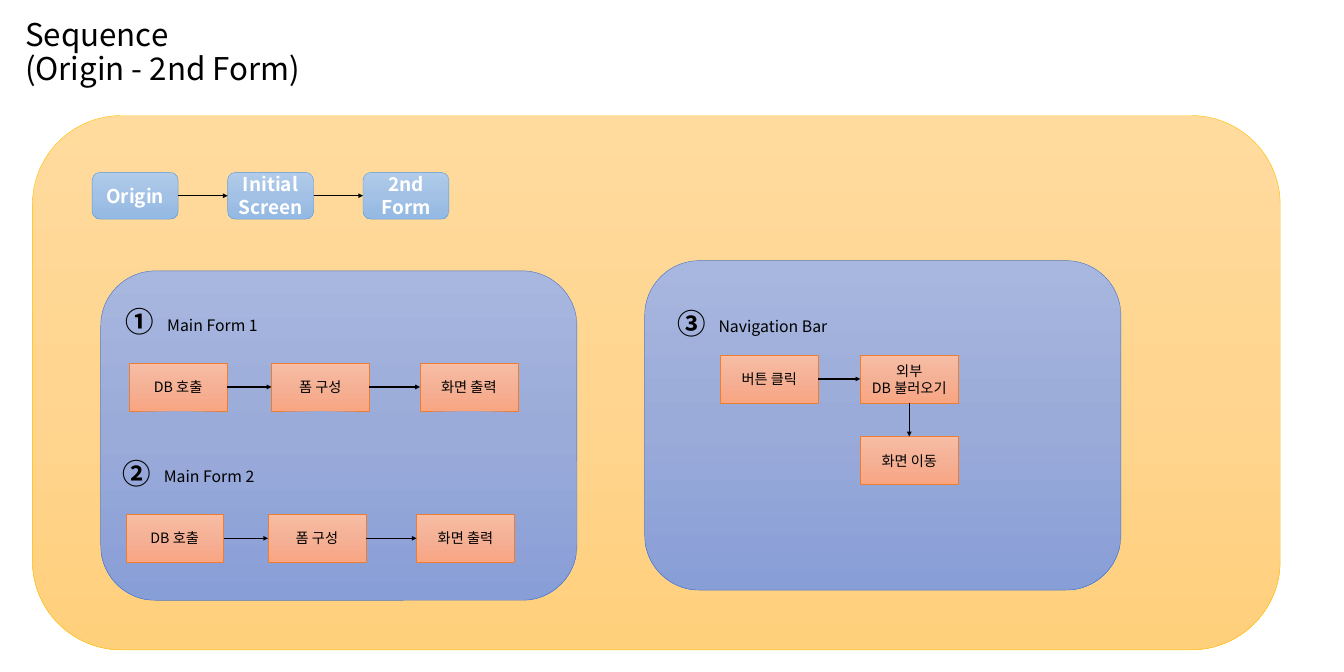
from lxml import etree
from pptx import Presentation
from pptx.dml.color import RGBColor
from pptx.enum.shapes import MSO_CONNECTOR, MSO_SHAPE
from pptx.enum.text import MSO_ANCHOR, MSO_AUTO_SIZE, PP_ALIGN
from pptx.oxml.ns import qn
from pptx.util import Inches, Pt

STRAIGHT = MSO_CONNECTOR.STRAIGHT
RECTANGLE, ROUNDED = MSO_SHAPE.RECTANGLE, MSO_SHAPE.ROUNDED_RECTANGLE
TOP, MIDDLE = MSO_ANCHOR.TOP, MSO_ANCHOR.MIDDLE
NO_FIT = MSO_AUTO_SIZE.NONE
LEFT, CENTER = PP_ALIGN.LEFT, PP_ALIGN.CENTER
TOP_SITE, LEFT_SITE, BOTTOM_SITE, RIGHT_SITE = range(4)

FONT = "Noto Sans CJK KR"
BLACK, WHITE = "000000", "FFFFFF"
AMBER = (("FFDB9E", "FFD590", "FFD07C"), "FFC000")
SKY = (("B1CBE9", "A3C1E5", "93B9E4"), "5B9BD5")
INDIGO = (("A8B7DF", "9AABD9", "889ED7"), "4472C4")
ORANGE = (("F7BDA5", "F5B196", "F8A582"), "ED7D31")
STAGE_SIZE = (1.51, 0.82)
STEP_SIZE = (1.72, 0.84)


def color(value):
    """Turn a hex string into a colour."""
    return RGBColor.from_string(value)


def write(shape, text, size, font_color=BLACK, bold=False, align=CENTER, anchor=MIDDLE):
    """Put formatted text into a shape."""
    frame = shape.text_frame
    frame.text = text
    frame.word_wrap = True
    frame.auto_size = NO_FIT
    frame.vertical_anchor = anchor
    for paragraph in frame.paragraphs:
        paragraph.alignment = align
        font = paragraph.font
        font.size, font.bold, font.name = Pt(size), bold, FONT
        font.color.rgb = color(font_color)
        properties = paragraph._p.pPr.find(qn("a:defRPr"))
        etree.SubElement(properties, qn("a:ea"), typeface=FONT)


def add_block(slide, kind, box, palette):
    """Add a shape with a vertical three-stop gradient and a thin outline."""
    shape = slide.shapes.add_shape(kind, *map(Inches, box))
    shape.shadow.inherit = False
    stops, outline = palette
    shape.fill.gradient()
    shape.fill.gradient_angle = 270
    stop_list = shape._element.spPr.find(qn("a:gradFill")).find(qn("a:gsLst"))
    for stop in list(stop_list):
        stop_list.remove(stop)
    for index, value in enumerate(stops):
        stop = etree.SubElement(stop_list, qn("a:gs"), pos=str(index * 50000))
        etree.SubElement(stop, qn("a:srgbClr"), val=value)
    shape.line.color.rgb = color(outline)
    shape.line.width = Pt(0.5)
    return shape


def add_arrow(slide, start, end, start_site=RIGHT_SITE, end_site=LEFT_SITE):
    """Join two shapes with an arrow."""
    arrow = slide.shapes.add_connector(STRAIGHT, 0, 0, 0, 0)
    arrow.begin_connect(start, start_site)
    arrow.end_connect(end, end_site)
    arrow.line.color.rgb = color(BLACK)
    arrow.line.width = Pt(1.5)
    etree.SubElement(arrow.line._get_or_add_ln(), qn("a:tailEnd"), type="triangle")
    etree.SubElement(arrow._element.spPr, qn("a:effectLst"))


def add_step(slide, left, top, text):
    """Add one orange step."""
    step = add_block(slide, RECTANGLE, (left, top, *STEP_SIZE), ORANGE)
    write(step, text, 18)
    return step


def add_row(slide, steps):
    """Join shapes from left to right."""
    for start, end in zip(steps, steps[1:]):
        add_arrow(slide, start, end)


def add_heading(slide, left, top, number, label, label_gap, label_width):
    """Add a circled number and the label beside it."""
    number_box = slide.shapes.add_textbox(*map(Inches, (left, top, 0.96, 0.61)))
    frame = number_box.text_frame
    frame.margin_left = frame.margin_right = frame.margin_top = frame.margin_bottom = 0
    write(number_box, number, 36, bold=True, align=LEFT, anchor=TOP)
    label_box = (left + label_gap, top + 0.15, label_width, 0.44)
    write(slide.shapes.add_textbox(*map(Inches, label_box)), label, 20, anchor=TOP)


def add_title(slide, box):
    """Place the slide title."""
    title = slide.shapes.title
    title.left, title.top, title.width, title.height = map(Inches, box)
    write(title, "Sequence\v(Origin - 2nd Form)", 39.6, align=LEFT)
    title.text_frame.paragraphs[0].line_spacing = 0.9


def add_stages(slide, left, top):
    """Add the row of stages that leads to the second form."""
    stages = []
    for index, text in enumerate(("Origin", "Initial\nScreen", "2nd\nForm")):
        box = (left + index * 2.38, top, *STAGE_SIZE)
        stage = add_block(slide, ROUNDED, box, SKY)
        write(stage, text, 24, WHITE, bold=True)
        stages.append(stage)
    add_row(slide, stages)


def add_main_forms(slide, box):
    """Add the panel with the two main form sequences."""
    add_block(slide, ROUNDED, box, INDIGO)
    for index, number in enumerate("①②"):
        left, top = box[0] + 0.44 - index * 0.06, box[1] + 0.59 + index * 2.66
        add_heading(slide, left, top, number, f"Main Form {index + 1}", 0.47, 2.11)
        places = ((0.06, "DB 호출"), (2.56, "폼 구성"), (5.17, "화면 출력"))
        add_row(slide, [add_step(slide, left + x, top + 1.03, text) for x, text in places])


def add_navigation(slide, box):
    """Add the panel with the navigation bar sequence."""
    add_block(slide, ROUNDED, box, INDIGO)
    left, top = box[:2]
    add_heading(slide, left + 0.58, top + 0.79, "③", "Navigation Bar", 0.51, 2.33)
    click = add_step(slide, left + 1.33, top + 1.66, "버튼 클릭")
    load = add_step(slide, left + 3.79, top + 1.66, "외부\nDB 불러오기")
    move = add_step(slide, left + 3.79, top + 3.09, "화면 이동")
    add_arrow(slide, click, load)
    add_arrow(slide, load, move, BOTTOM_SITE, TOP_SITE)


def main():
    """Build and save the sequence slide."""
    presentation = Presentation()
    presentation.slide_width = Inches(23.62)
    presentation.slide_height = Inches(11.81)
    slide = presentation.slides.add_slide(presentation.slide_layouts[5])
    add_block(slide, ROUNDED, (0.57, 2.03, 21.93, 9.39), AMBER)
    add_title(slide, (0.34, 0.22, 6.62, 1.43))
    add_stages(slide, 1.62, 3.03)
    add_navigation(slide, (11.33, 4.58, 8.37, 5.79))
    add_main_forms(slide, (1.77, 4.76, 8.37, 5.79))
    presentation.save("out.pptx")


if __name__ == "__main__":
    main()
